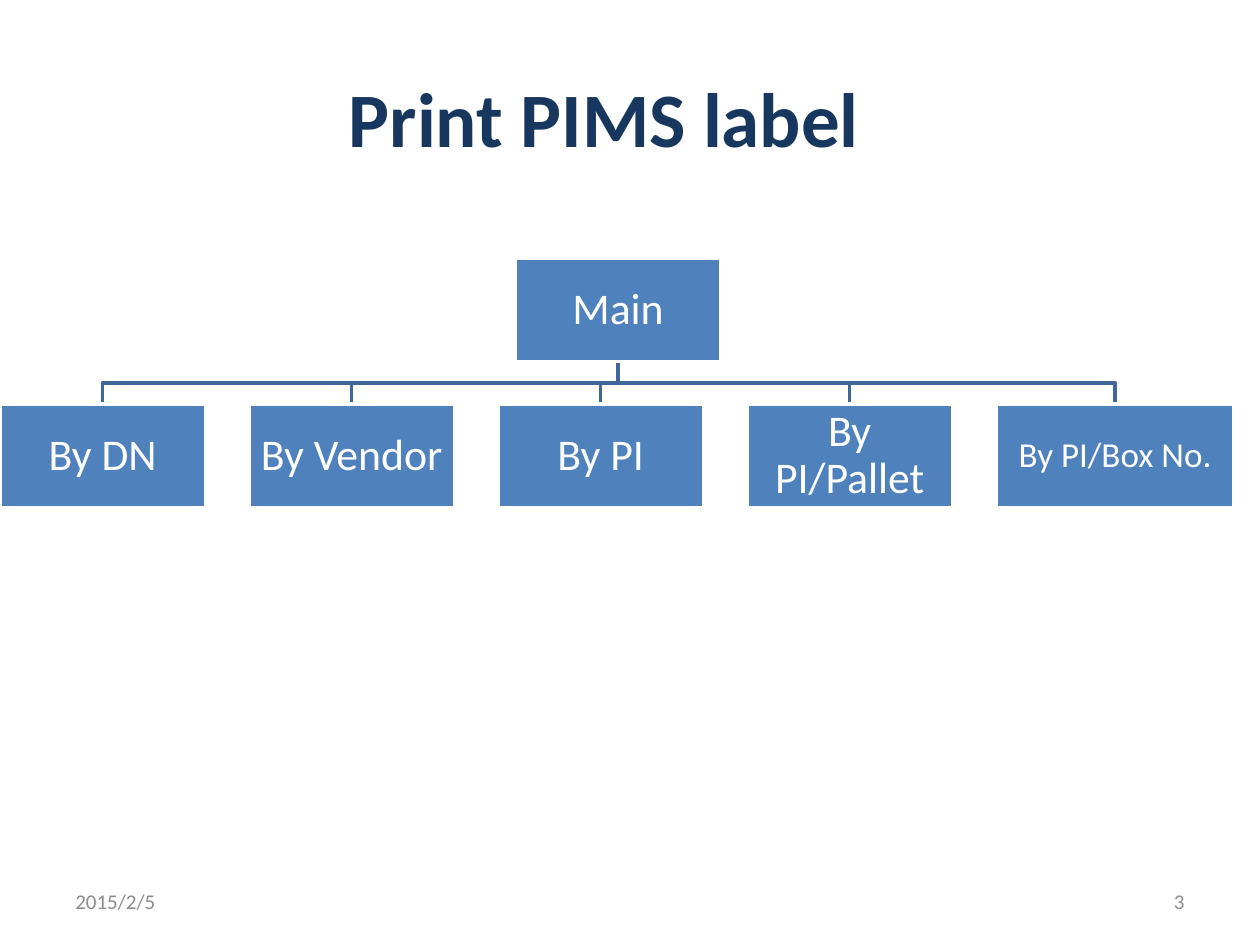
from pptx import Presentation
from pptx.dml.color import RGBColor
from pptx.enum.shapes import MSO_SHAPE
from pptx.enum.text import MSO_ANCHOR, PP_ALIGN
from pptx.util import Cm, Pt

COLORS = {"title": "17375E", "box": "4F81BD", "white": "FFFFFF",
          "link": "3F6797", "footer": "8C8C8C"}
FONT = "Calibri"

BOX_W, BOX_H = 4.14, 2.08
MAIN_X, MAIN_Y = 10.39, 5.21
ROW_Y, STEP = 8.15, 5.02
# label, box width, text size, text inset
CHILDREN = [
    ("By DN", BOX_W, 25, 0.04),
    ("By Vendor", BOX_W, 25, 0.04),
    ("By PI", BOX_W, 25, 0.04),
    ("By PI/Pallet", BOX_W, 25, 0.04),
    ("By PI/Box No.", 4.8, 20, 0.03),
]


def rgb(name):
    return RGBColor.from_string(COLORS[name])


def write(tf, text, size, color, align, bold=False):
    tf.text = text
    tf.word_wrap = True
    tf.vertical_anchor = MSO_ANCHOR.MIDDLE
    p = tf.paragraphs[0]
    p.alignment = align
    font = p.runs[0].font
    font.name, font.size, font.bold = FONT, Pt(size), bold
    font.color.rgb = rgb(color)


def add_title(slide, text):
    sp = slide.shapes.title
    sp.left, sp.top, sp.width, sp.height = Cm(1.27), Cm(0.76), Cm(21.82), Cm(3.18)
    write(sp.text_frame, text, 44, "title", PP_ALIGN.CENTER, bold=True)


def add_footer(slide, text, x, align):
    sp = slide.shapes.add_textbox(Cm(x), Cm(17.65), Cm(5.92), Cm(1.02))
    write(sp.text_frame, text, 12, "footer", align)


def add_box(slide, text, x, y, w=BOX_W, size=25, inset=0.04):
    sp = slide.shapes.add_shape(MSO_SHAPE.RECTANGLE, Cm(x), Cm(y), Cm(w), Cm(BOX_H))
    sp.shadow.inherit = False
    sp.fill.solid()
    sp.fill.fore_color.rgb = rgb("box")
    sp.line.color.rgb = rgb("white")
    sp.line.width = Pt(2)
    tf = sp.text_frame
    tf.margin_left = tf.margin_right = tf.margin_top = tf.margin_bottom = Cm(inset)
    write(tf, text, size, "white", PP_ALIGN.CENTER)
    tf.paragraphs[0].line_spacing = 0.9


def add_branch(slide, child_x):
    """Draw the stepped line from the main box down to a child's top centre."""
    start_x, start_y = MAIN_X + BOX_W / 2, MAIN_Y + BOX_H
    mid_y = (start_y + ROW_Y) / 2
    builder = slide.shapes.build_freeform(Cm(start_x), Cm(start_y))
    corners = [(start_x, mid_y), (child_x, mid_y), (child_x, ROW_Y)]
    builder.add_line_segments([(Cm(x), Cm(y)) for x, y in corners], close=False)
    sp = builder.convert_to_shape()
    sp.shadow.inherit = False
    sp.fill.background()
    sp.line.color.rgb = rgb("link")
    sp.line.width = Pt(2)


def main():
    prs = Presentation()
    prs.slide_width, prs.slide_height = Cm(25.4), Cm(19.05)
    slide = prs.slides.add_slide(prs.slide_layouts[5])

    add_footer(slide, "2015/2/5", 1.27, PP_ALIGN.LEFT)
    add_footer(slide, "3", 18.21, PP_ALIGN.RIGHT)
    add_title(slide, "Print PIMS label")

    for i, (_, w, _, _) in enumerate(CHILDREN):
        add_branch(slide, i * STEP + w / 2)
    add_box(slide, "Main", MAIN_X, MAIN_Y)
    for i, (label, w, size, inset) in enumerate(CHILDREN):
        add_box(slide, label, i * STEP, ROW_Y, w, size, inset)

    prs.save("out.pptx")


if __name__ == "__main__":
    main()
